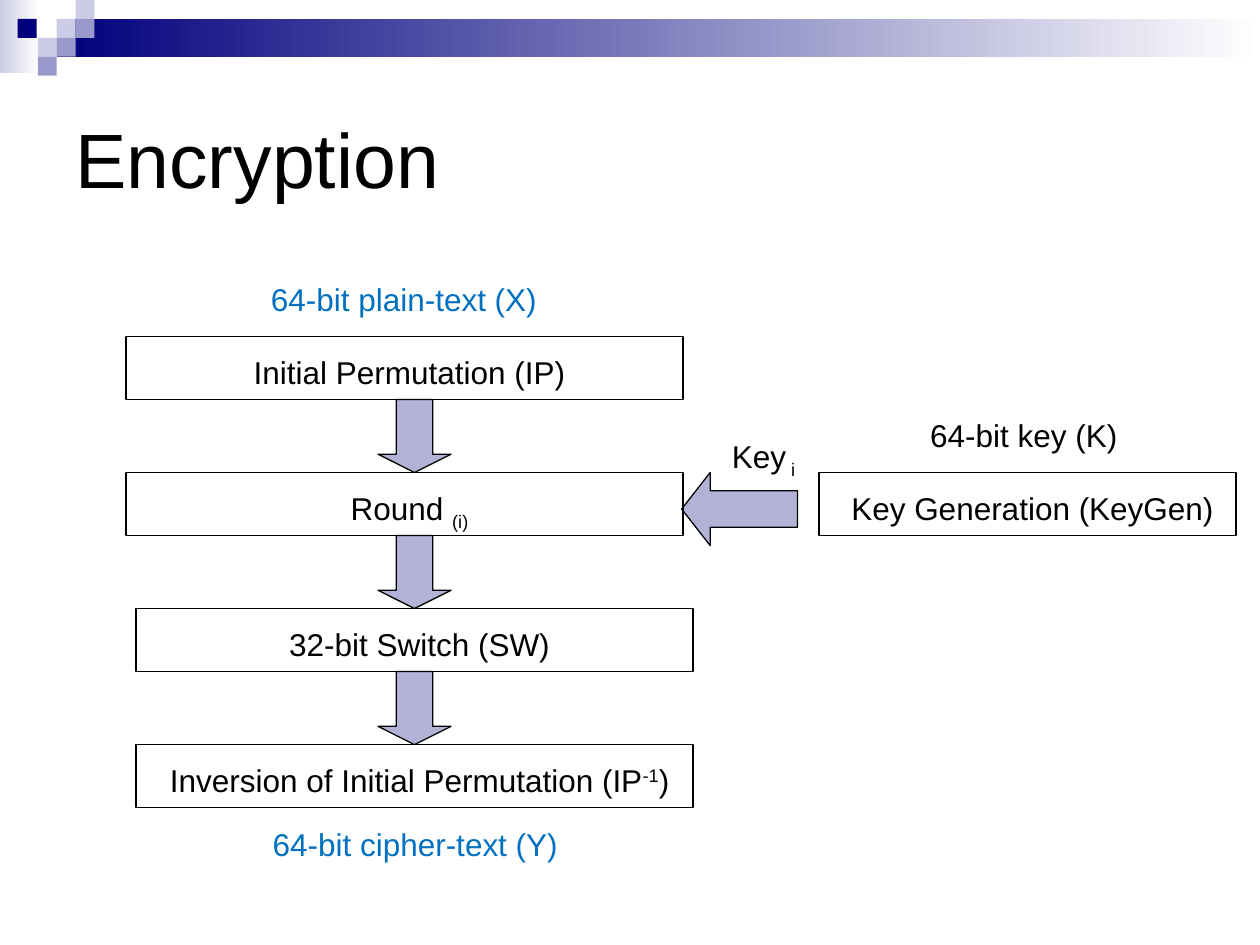
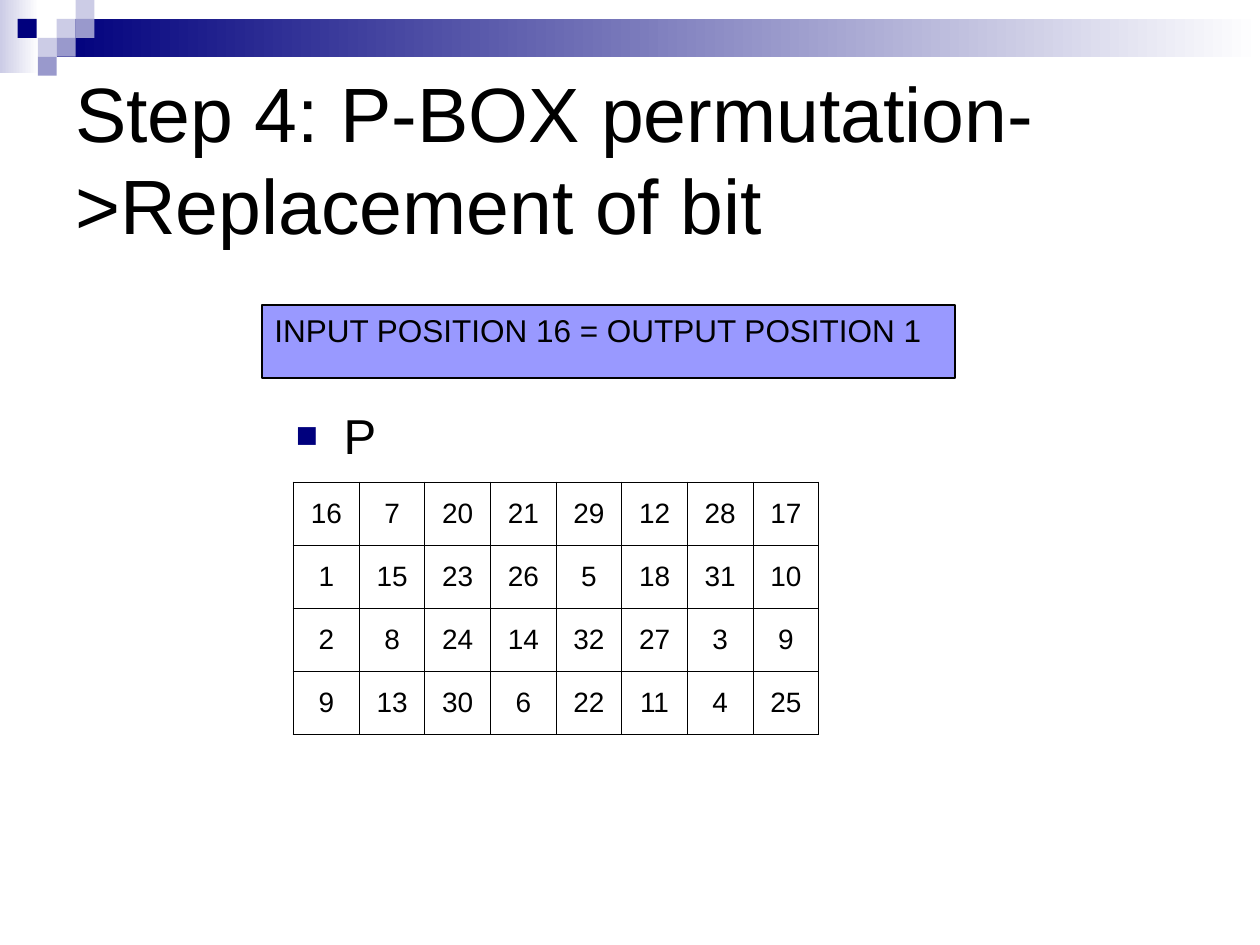
from dataclasses import dataclass

from lxml.etree import SubElement
from pptx import Presentation
from pptx.dml.color import RGBColor
from pptx.enum.shapes import MSO_SHAPE as Preset
from pptx.enum.text import MSO_ANCHOR as Anchor, PP_ALIGN as Align
from pptx.oxml.ns import qn
from pptx.shapes.autoshape import Shape
from pptx.slide import Slide
from pptx.table import _Cell as Cell
from pptx.text.text import _Paragraph as Paragraph
from pptx.util import Inches, Pt


@dataclass(frozen=True)
class Theme:
    font: str = "Arial"
    ink: str = "000000"
    paper: str = "FFFFFF"
    navy: str = "00007D"
    mid: str = "9999CC"
    pale: str = "CCCCE6"
    note: str = "9999FF"
    data: str = "0070C0"
    title_size: float = 44
    bullet_size: float = 28
    body_size: float = 18
    table_size: float = 16
    outline: float = 0.75
    table_frame: float = 1.08
    table_rule: float = 0.45


THEME = Theme()


@dataclass(frozen=True)
class Area:
    left: float
    top: float
    width: float
    height: float

    def lengths(self) -> list[Inches]:
        return [Inches(n) for n in (self.left, self.top, self.width, self.height)]


@dataclass(frozen=True)
class Span:
    text: str
    baseline: int = 0


@dataclass(frozen=True)
class Stage:
    area: Area
    spans: tuple[Span, ...]


@dataclass(frozen=True)
class Label:
    area: Area
    spans: tuple[Span, ...]
    color: str = THEME.ink


@dataclass(frozen=True)
class Arrow:
    area: Area
    head: float = 0.25
    rotation: float = 0


@dataclass(frozen=True)
class Tile:
    left: float
    top: float
    color: str


TILE_SIDE = 0.15
TILES = (
    Tile(0.45, 0.15, THEME.pale),
    Tile(0.6, 0, THEME.pale),
    Tile(0.6, 0.15, THEME.mid),
    Tile(0.3, 0.3, THEME.pale),
    Tile(0.14, 0.15, THEME.navy),
    Tile(0.45, 0.3, THEME.mid),
    Tile(0.3, 0.45, THEME.mid),
)
FADES = (
    (Area(0, 0, 0.31, 0.58), THEME.pale),
    (Area(0.45, 0.15, 9.55, 0.3), THEME.navy),
)

STAGE_TOP, STAGE_STEP = 2.67, 1.08
STAGE_WIDTH, STAGE_HEIGHT = 4.42, 0.5
STAGE_TEXTS = (
    (1, (Span("Initial Permutation (IP)"),)),
    (1, (Span("Round "), Span("(i)", -25))),
    (1.08, (Span("32-bit Switch (SW)"),)),
    (1.08, (Span("Inversion of Initial Permutation (IP"), Span("-1", 30), Span(")"))),
)
STAGES = [
    Stage(Area(left, STAGE_TOP + row * STAGE_STEP, STAGE_WIDTH, STAGE_HEIGHT), spans)
    for row, (left, spans) in enumerate(STAGE_TEXTS)
]
KEY_GENERATION = Stage(
    Area(6.5, STAGES[1].area.top, 3.31, STAGE_HEIGHT),
    (Span("Key Generation (KeyGen)"),),
)
ARROW_SIDE = 0.58
ARROWS = [
    Arrow(Area(3, stage.area.top + STAGE_HEIGHT, ARROW_SIDE, ARROW_SIDE))
    for stage in STAGES[:-1]
] + [Arrow(Area(5.58, 3.58, ARROW_SIDE, 0.92), head=0.39, rotation=90)]
LABELS = (
    Label(Area(5.58, 3.42, 1, 0.44), (Span("Key"), Span(" i ", -25))),
    Label(Area(1.83, 2.17, 2.75, 0.4), (Span("64-bit plain-text (X)"),), THEME.data),
    Label(Area(1.92, 6.5, 2.75, 0.4), (Span("64-bit cipher-text (Y)"),), THEME.data),
    Label(Area(6.75, 3.25, 2.75, 0.4), (Span("64-bit key (K)"),)),
)

P_BOX = (
    (16, 7, 20, 21, 29, 12, 28, 17),
    (1, 15, 23, 26, 5, 18, 31, 10),
    (2, 8, 24, 14, 32, 27, 3, 9),
    (9, 13, 30, 6, 22, 11, 4, 25),
)


def rgb(color: str) -> RGBColor:
    return RGBColor.from_string(color)


def style_text(para: Paragraph, size: float, color: str = THEME.ink) -> None:
    for span in para.runs:
        span.font.name = THEME.font
        span.font.size = Pt(size)
        span.font.color.rgb = rgb(color)


def add_box(slide: Slide, area: Area, fill: str | None = None,
            outlined: bool = False, preset: Preset = Preset.RECTANGLE) -> Shape:
    box = slide.shapes.add_shape(preset, *area.lengths())
    box.shadow.inherit = False
    if fill:
        box.fill.solid()
        box.fill.fore_color.rgb = rgb(fill)
    else:
        box.fill.background()
    if outlined:
        box.line.color.rgb = rgb(THEME.ink)
        box.line.width = Pt(THEME.outline)
    else:
        box.line.fill.background()
    return box


def add_text(slide: Slide, area: Area, text: str, size: float,
             anchor: Anchor = Anchor.TOP) -> Paragraph:
    frame = slide.shapes.add_textbox(*area.lengths()).text_frame
    frame.word_wrap = True
    frame.vertical_anchor = anchor
    para = frame.paragraphs[0]
    para.text = text
    style_text(para, size)
    return para


def add_label(slide: Slide, label: Label) -> None:
    para = add_text(slide, label.area, "", THEME.body_size)
    para.alignment = Align.CENTER
    for part in label.spans:
        span = para.add_run()
        span.text = part.text
        if part.baseline:
            span.font._element.set("baseline", str(part.baseline * 1000))
    style_text(para, THEME.body_size, label.color)


def add_stage(slide: Slide, stage: Stage) -> None:
    area = stage.area
    add_box(slide, area, outlined=True)
    inner = Area(area.left + 0.08, area.top + 0.08, area.width - 0.08, 0.4)
    add_label(slide, Label(inner, stage.spans))


def add_arrow(slide: Slide, arrow: Arrow) -> None:
    shape = add_box(slide, arrow.area, THEME.navy, True, Preset.DOWN_ARROW)
    shape.adjustments[0] = 0.5
    shape.adjustments[1] = arrow.head
    shape.rotation = arrow.rotation
    color = shape._element.spPr.find(qn("a:solidFill")).find(qn("a:srgbClr"))
    SubElement(color, qn("a:alpha"), val="30000")


def add_slide(deck: Presentation, title: str) -> Slide:
    """Add a blank slide with the shared corner band and the title."""
    slide = deck.slides.add_slide(deck.slide_layouts[6])
    for area, color in FADES:
        fill = add_box(slide, area).fill
        fill.gradient()
        fill.gradient_angle = 0
        for stop, shade in zip(fill.gradient_stops, (color, THEME.paper)):
            stop.color.rgb = rgb(shade)
    for tile in TILES:
        add_box(slide, Area(tile.left, tile.top, TILE_SIDE, TILE_SIDE), tile.color)
    add_text(slide, Area(0.5, 0.5, 9, 1.5), title, THEME.title_size, Anchor.MIDDLE)
    return slide


def add_bullet(para: Paragraph) -> None:
    """Give the paragraph a square navy bullet with a hanging indent."""
    props = para._p.get_or_add_pPr()
    props.set("marL", str(Inches(0.38)))
    props.set("indent", str(-Inches(0.38)))
    color = SubElement(props, qn("a:buClr"))
    SubElement(color, qn("a:srgbClr"), val=THEME.navy)
    SubElement(props, qn("a:buSzPct"), val="75000")
    SubElement(props, qn("a:buFont"), typeface=THEME.font)
    SubElement(props, qn("a:buChar"), char="■")


def set_borders(cell: Cell, framed: dict[str, bool]) -> None:
    """Rule each side of the cell, heavier where it lies on the table's frame."""
    props = cell._tc.get_or_add_tcPr()
    for side, is_frame in framed.items():
        width = THEME.table_frame if is_frame else THEME.table_rule
        line = SubElement(props, qn(f"a:{side}"), w=str(Pt(width)))
        fill = SubElement(line, qn("a:solidFill"))
        SubElement(fill, qn("a:srgbClr"), val=THEME.ink)


def add_number_table(slide: Slide, area: Area, rows: tuple[tuple[int, ...], ...]) -> None:
    last_row, last_column = len(rows) - 1, len(rows[0]) - 1
    table = slide.shapes.add_table(len(rows), len(rows[0]), *area.lengths()).table
    table.first_row = table.horz_banding = False
    for r, numbers in enumerate(rows):
        for c, number in enumerate(numbers):
            cell = table.cell(r, c)
            set_borders(cell, {"lnL": c == 0, "lnR": c == last_column,
                               "lnT": r == 0, "lnB": r == last_row})
            cell.fill.background()
            cell.vertical_anchor = Anchor.MIDDLE
            para = cell.text_frame.paragraphs[0]
            para.text = str(number)
            para.alignment = Align.CENTER
            style_text(para, THEME.table_size)


def build_encryption(deck: Presentation) -> None:
    slide = add_slide(deck, "Encryption")
    for stage in [*STAGES, KEY_GENERATION]:
        add_stage(slide, stage)
    for arrow in ARROWS:
        add_arrow(slide, arrow)
    for label in LABELS:
        add_label(slide, label)


def build_p_box(deck: Presentation) -> None:
    slide = add_slide(deck, "Step 4: P-BOX permutation->Replacement of bit")
    add_number_table(slide, Area(2.33, 3.83, 4.17, 2), P_BOX)
    add_bullet(add_text(slide, Area(2.25, 3.17, 0.83, 0.58), "P", THEME.bullet_size))
    note = add_box(slide, Area(2.08, 2.42, 5.5, 0.58), THEME.note, outlined=True)
    note.text_frame.text = "INPUT POSITION 16 = OUTPUT POSITION 1"
    note.text_frame.vertical_anchor = Anchor.TOP
    para = note.text_frame.paragraphs[0]
    para.alignment = Align.LEFT
    style_text(para, THEME.body_size)


def main() -> None:
    deck = Presentation()
    deck.slide_width, deck.slide_height = Inches(10), Inches(7.5)
    build_encryption(deck)
    build_p_box(deck)
    deck.save("out.pptx")


if __name__ == "__main__":
    main()
